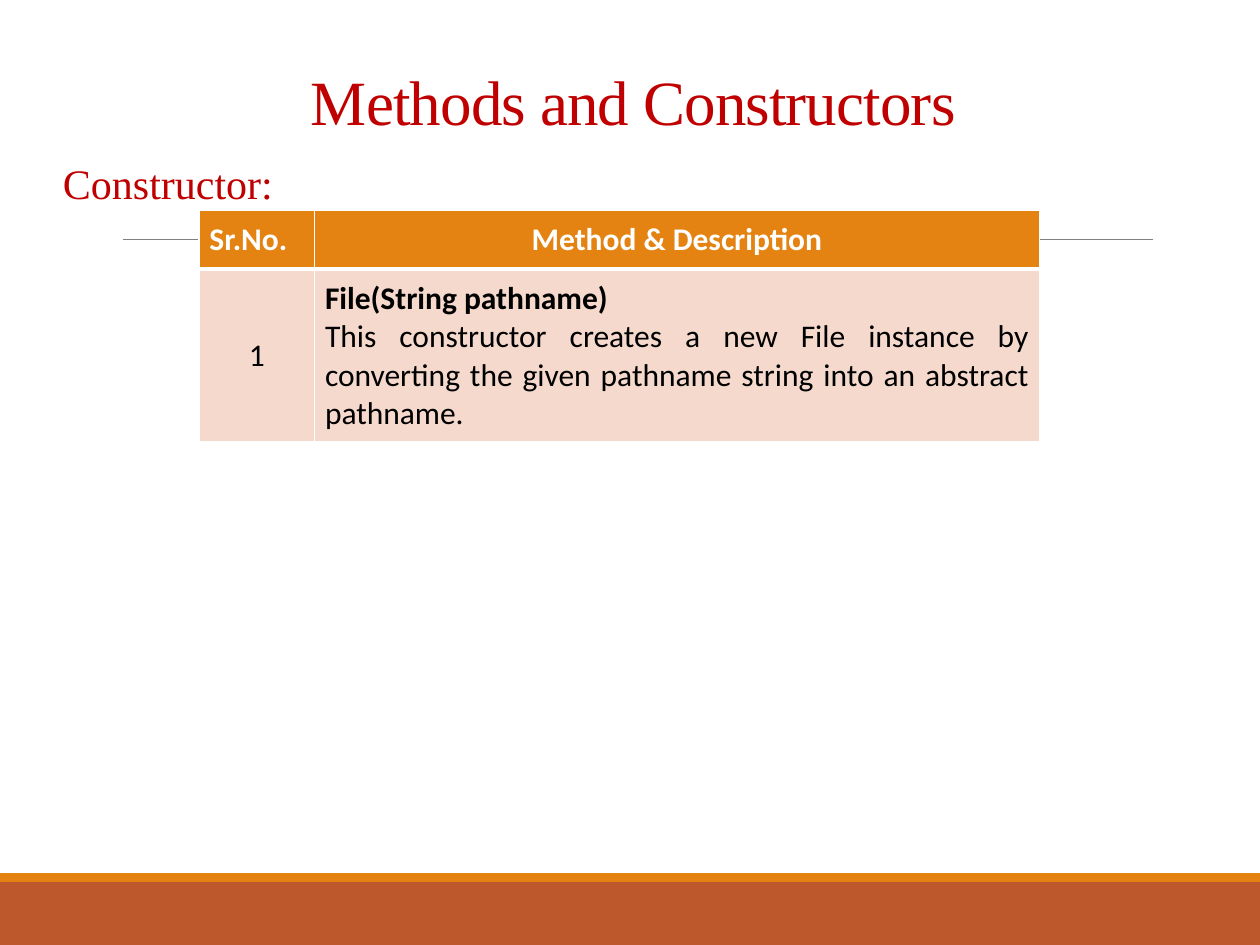
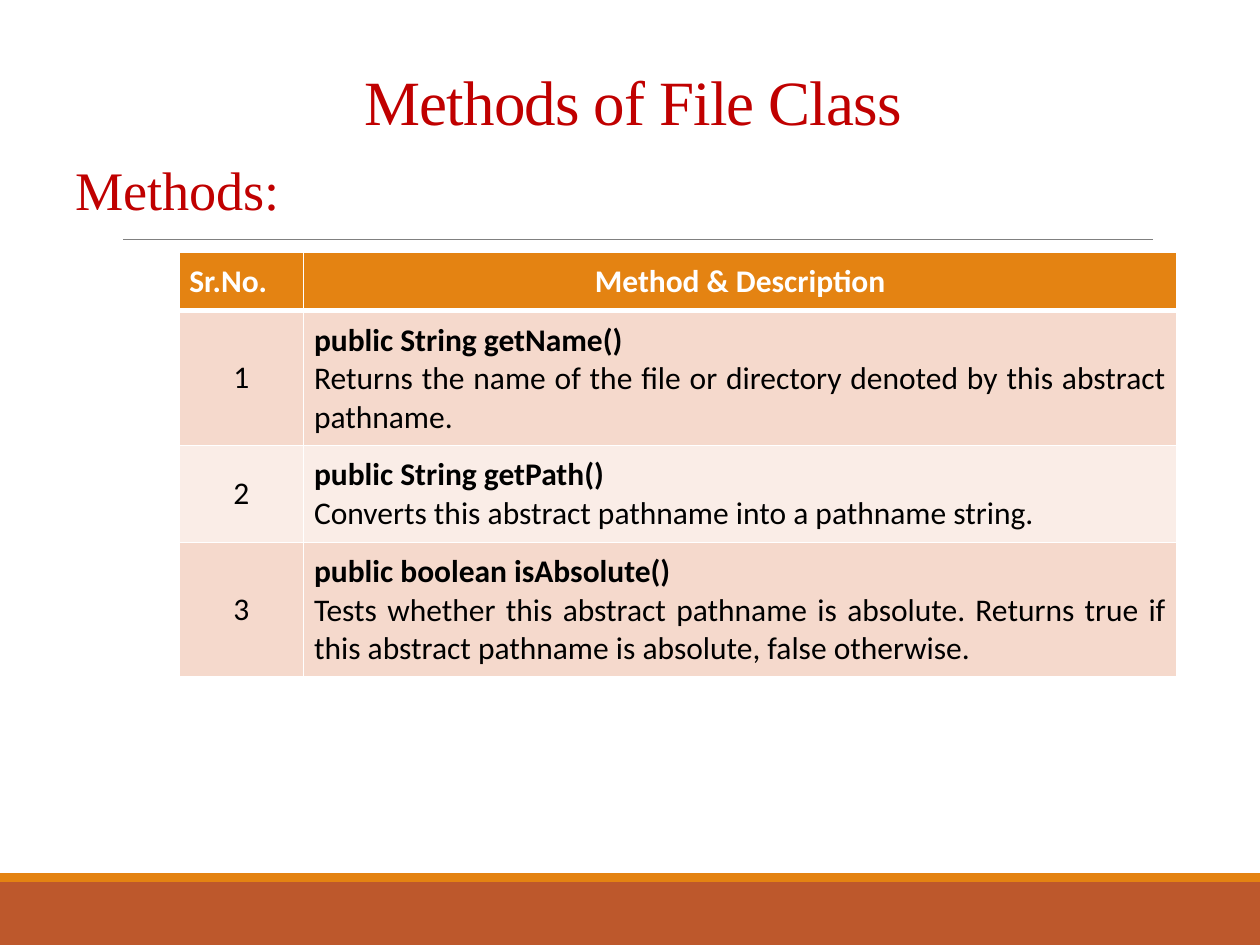
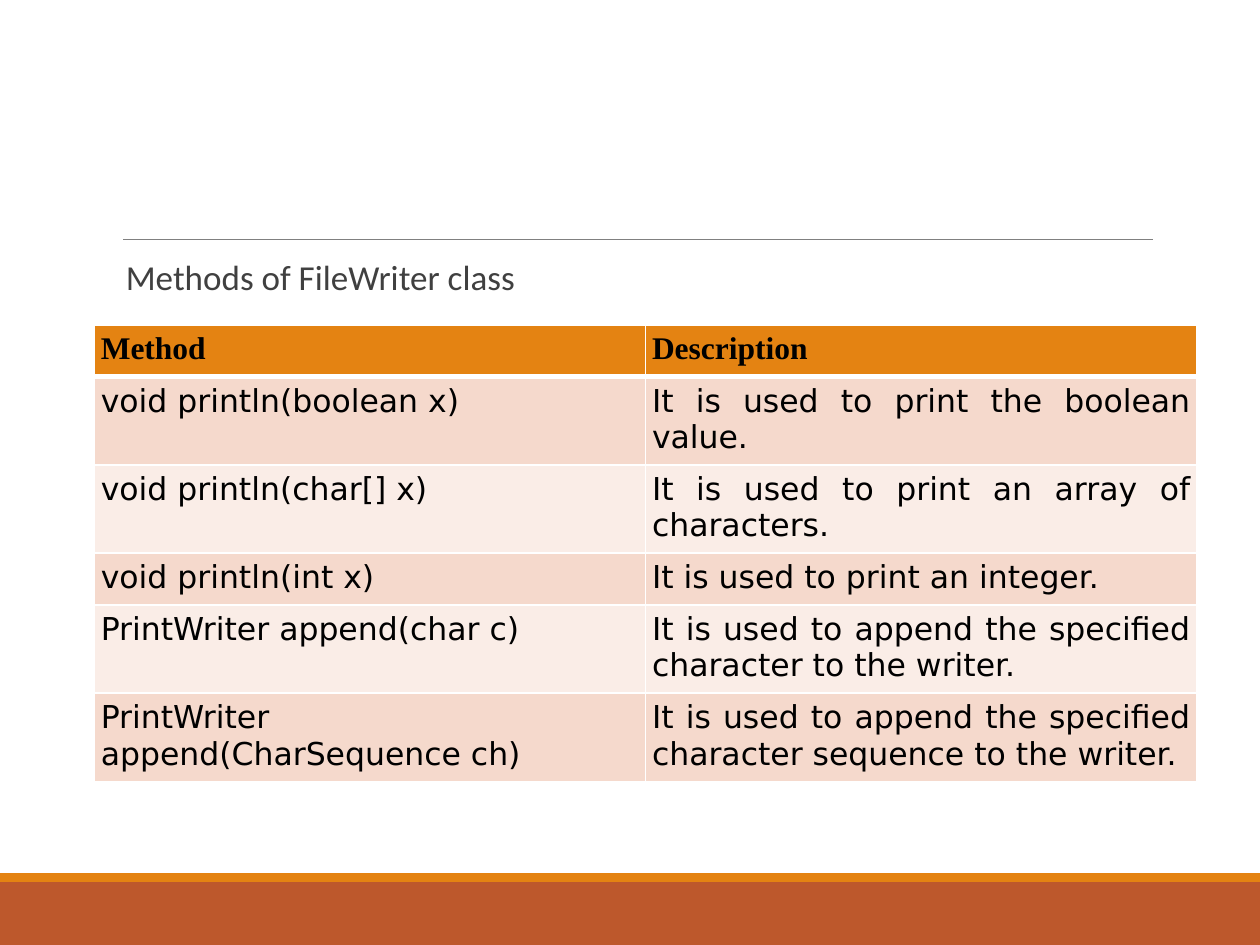
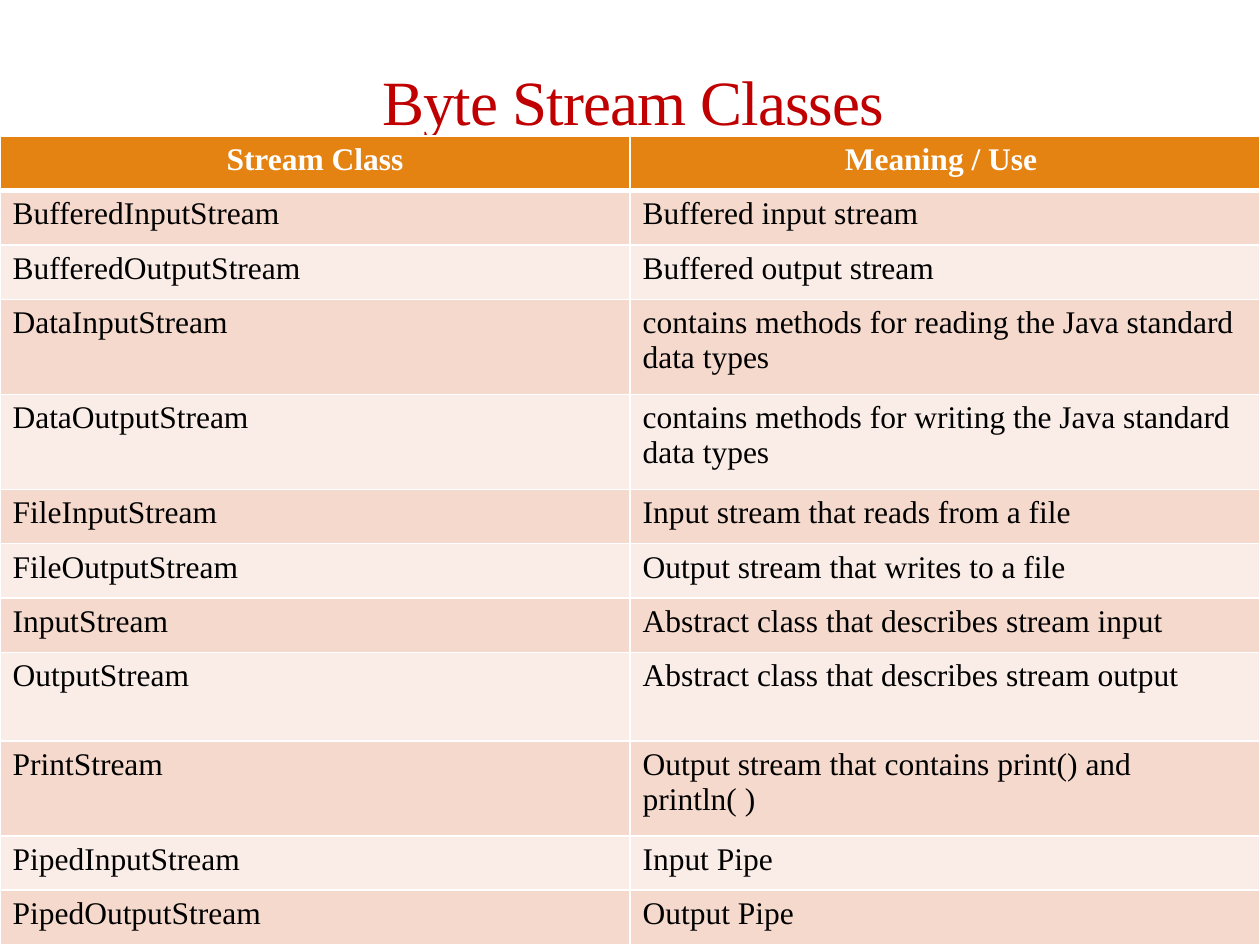
from collections import namedtuple

from lxml.etree import SubElement
from pptx import Presentation
from pptx.dml.color import RGBColor
from pptx.enum.shapes import MSO_CONNECTOR, MSO_SHAPE
from pptx.enum.text import MSO_ANCHOR, PP_ALIGN
from pptx.oxml import parse_xml
from pptx.oxml.ns import nsdecls, qn
from pptx.util import Inches, Pt

RUST = RGBColor(0xBD, 0x58, 0x2C)
ORANGE = RGBColor(0xE4, 0x83, 0x12)
PALE = RGBColor(0xF5, 0xD9, 0xCC)
PALER = RGBColor(0xFA, 0xED, 0xE7)
RED = RGBColor(0xC0, 0x00, 0x00)
GRAY = RGBColor(0x80, 0x80, 0x80)
DARK = RGBColor(0x40, 0x40, 0x40)
BLACK = RGBColor(0, 0, 0)
WHITE = RGBColor(0xFF, 0xFF, 0xFF)

SERIF = "Times New Roman"
SANS = "Calibri"
MONO_LIKE = "DejaVu Sans"

COLUMNS, ROWS = 100, 75
UNIT = Inches(0.1)

Box = namedtuple("Box", "left top width height")
PAGE = Box(0, 0, COLUMNS, ROWS)
TITLE = Box(5.5, 0, 89.5, 11.5)

LEFT, CENTER, JUSTIFY = PP_ALIGN.LEFT, PP_ALIGN.CENTER, PP_ALIGN.JUSTIFY

CONSTRUCTORS = [
    ("Sr.No.", "Method & Description"),
    ("1", "File(String pathname)\nThis constructor creates a new File instance by "
          "converting the given pathname string into an abstract pathname."),
]
FILE_METHODS = [
    ("Sr.No.", "Method & Description"),
    ("1", "public String getName()\nReturns the name of the file or directory "
          "denoted by this abstract pathname."),
    ("2", "public String getPath()\nConverts this abstract pathname into a pathname string."),
    ("3", "public boolean isAbsolute()\nTests whether this abstract pathname is absolute. "
          "Returns true if this abstract pathname is absolute, false otherwise."),
]
WRITER_METHODS = [
    ("Method", "Description"),
    ("void println(boolean x)", "It is used to print the boolean value."),
    ("void println(char[] x)", "It is used to print an array of characters."),
    ("void println(int x)", "It is used to print an integer."),
    ("PrintWriter append(char c)",
     "It is used to append the specified character to the writer."),
    ("PrintWriter append(CharSequence ch)",
     "It is used to append the specified character sequence to the writer."),
]
STREAM_CLASSES = [
    ("Stream Class", "Meaning / Use "),
    ("BufferedInputStream", "Buffered input stream"),
    ("BufferedOutputStream", "Buffered output stream"),
    ("DataInputStream", "contains methods for reading the Java standard data types"),
    ("DataOutputStream", "contains methods for writing the Java standard data types"),
    ("FileInputStream", "Input stream that reads from a file"),
    ("FileOutputStream", "Output stream that writes to a file"),
    ("InputStream", "Abstract class that describes stream input"),
    ("OutputStream", "Abstract class that describes stream output"),
    ("PrintStream", "Output stream that contains print() and println( )"),
    ("PipedInputStream", "Input Pipe"),
    ("PipedOutputStream", "Output Pipe"),
]


def grid(*lengths):
    return [round(length * UNIT) for length in lengths]


def write(frame, text, size=18, font=SANS, color=BLACK, bold_lines=0, align=LEFT,
          line_spacing=None, tracking=None):
    frame.word_wrap = True
    for index, line in enumerate(text.split("\n")):
        paragraph = frame.add_paragraph() if index else frame.paragraphs[0]
        paragraph.alignment = align
        if line_spacing:
            paragraph.line_spacing = line_spacing
        run = paragraph.add_run()
        run.text = line
        run.font.size = Pt(size)
        run.font.name = font
        run.font.color.rgb = color
        run.font.bold = index < bold_lines
        if tracking:
            run._r.get_or_add_rPr().set("spc", str(round(tracking * 100)))


def add_band(slide, box, color):
    band = slide.shapes.add_shape(MSO_SHAPE.RECTANGLE, *grid(*box))
    band.shadow.inherit = False
    band.fill.solid()
    band.fill.fore_color.rgb = color
    band.line.fill.background()


def add_backdrop(slide, box):
    bottom = box.top + box.height
    add_band(slide, Box(box.left, bottom - 5, box.width, 5), RUST)
    add_band(slide, Box(box.left, bottom - 5.7, box.width, 0.7), ORANGE)
    rule_y = box.top + 19
    rule = slide.shapes.add_connector(
        MSO_CONNECTOR.STRAIGHT,
        *grid(box.left + 9.8, rule_y, box.left + box.width - 8.5, rule_y))
    rule.line.color.rgb = GRAY
    rule.line.width = Pt(0.5)
    SubElement(rule._element.spPr, qn("a:effectLst"))


def add_title(slide, text, box=TITLE):
    frame = slide.shapes.add_textbox(*grid(*box)).text_frame
    frame.vertical_anchor = MSO_ANCHOR.BOTTOM
    write(frame, text, size=36, font=SERIF, color=RED, align=CENTER,
          line_spacing=0.85, tracking=-0.5)


def add_subtitle(slide, text, box, indent=0, **style):
    frame = slide.shapes.add_textbox(*grid(*box)).text_frame
    frame.margin_left, frame.margin_right = grid(indent, 0)
    write(frame, text, line_spacing=0.9, **style)


def set_borders(cell, bottom):
    properties = cell._tc.get_or_add_tcPr()
    for index, (side, width) in enumerate(zip("LRTB", (1, 1, 1, bottom))):
        properties.insert(index, parse_xml(
            f'<a:ln{side} {nsdecls("a")} w="{Pt(width)}"><a:solidFill>'
            f'<a:srgbClr val="{WHITE}"/></a:solidFill></a:ln{side}>'))


def add_listing(slide, entries, box, column_shares, row_heights, header, body,
                header_aligns, body_aligns, inset=None, centered_first=False):
    table = slide.shapes.add_table(len(entries), len(column_shares), *grid(*box)).table
    for column, share in zip(table.columns, column_shares):
        column.width = round(box.width * share / sum(column_shares) * UNIT)
    for row, height in zip(table.rows, row_heights):
        row.height = round(height * UNIT)
    for row, entry in enumerate(entries):
        fill = ORANGE if row == 0 else PALE if row % 2 else PALER
        aligns = body_aligns if row else header_aligns
        style = body if row else header
        for column, text in enumerate(entry):
            cell = table.cell(row, column)
            if inset is not None:
                margin = round(inset * UNIT)
                cell.margin_left = cell.margin_right = margin
                cell.margin_top = cell.margin_bottom = margin
            if row and column == 0 and centered_first:
                cell.vertical_anchor = MSO_ANCHOR.MIDDLE
            cell.fill.solid()
            cell.fill.fore_color.rgb = fill
            set_borders(cell, bottom=1 if row else 3)
            bold_lines = text.count("\n") if row else 1
            write(cell.text_frame, text, align=aligns[column],
                  bold_lines=bold_lines, **style)


def add_numbered_listing(slide, entries, box, column_shares, row_heights):
    add_listing(slide, entries, box, column_shares, row_heights,
                header=dict(color=WHITE), body=dict(),
                header_aligns=(LEFT, CENTER), body_aligns=(CENTER, JUSTIFY),
                inset=0.83, centered_first=True)


def build_constructors(slide):
    add_title(slide, "Methods and Constructors")
    add_subtitle(slide, "Constructor:", Box(5, 12.5, 91.7, 53.3),
                 size=24, font=SERIF, color=RED)
    add_numbered_listing(slide, CONSTRUCTORS, Box(15.8, 16.7, 66.7, 18.3),
                         (11, 69), (4.6, 13.7))


def build_file_methods(slide):
    add_title(slide, "Methods of File Class")
    add_subtitle(slide, "Methods:", Box(5, 12.5, 91.7, 56.7), indent=1,
                 size=31, font=SERIF, color=RED)
    add_numbered_listing(slide, FILE_METHODS, Box(14.2, 20, 79.2, 33.7),
                         (1, 7), (4.6, 10.7, 7.7, 10.7))


def build_writer_methods(slide):
    add_subtitle(slide, "Methods of FileWriter class", Box(9, 20.2, 82.5, 44), indent=1,
                 size=20, color=DARK)
    short, tall = 4.1, 6.8
    add_listing(slide, WRITER_METHODS, Box(7.5, 25.8, 87.5, 35.4), (1, 1),
                (short, tall, tall, short, tall, tall),
                header=dict(font=SERIF), body=dict(font=MONO_LIKE),
                header_aligns=(LEFT, LEFT), body_aligns=(JUSTIFY, JUSTIFY), inset=0.5)


def build_stream_classes(slide):
    add_title(slide, "Byte Stream Classes")
    short, tall = 4.32, 7.54
    add_listing(slide, STREAM_CLASSES, Box(0, 10.8, COLUMNS, 64.2), (1, 1),
                [short] * 3 + [tall] * 2 + [short] * 3 + [7, tall] + [short] * 2,
                header=dict(font=SERIF, color=WHITE), body=dict(font=SERIF),
                header_aligns=(CENTER, CENTER), body_aligns=(LEFT, LEFT))


def main():
    deck = Presentation()
    deck.slide_width, deck.slide_height = grid(COLUMNS, ROWS)
    blank = deck.slide_layouts[6]
    for build in (build_constructors, build_file_methods,
                  build_writer_methods, build_stream_classes):
        slide = deck.slides.add_slide(blank)
        add_backdrop(slide, PAGE)
        build(slide)
    deck.save("out.pptx")


if __name__ == "__main__":
    main()
